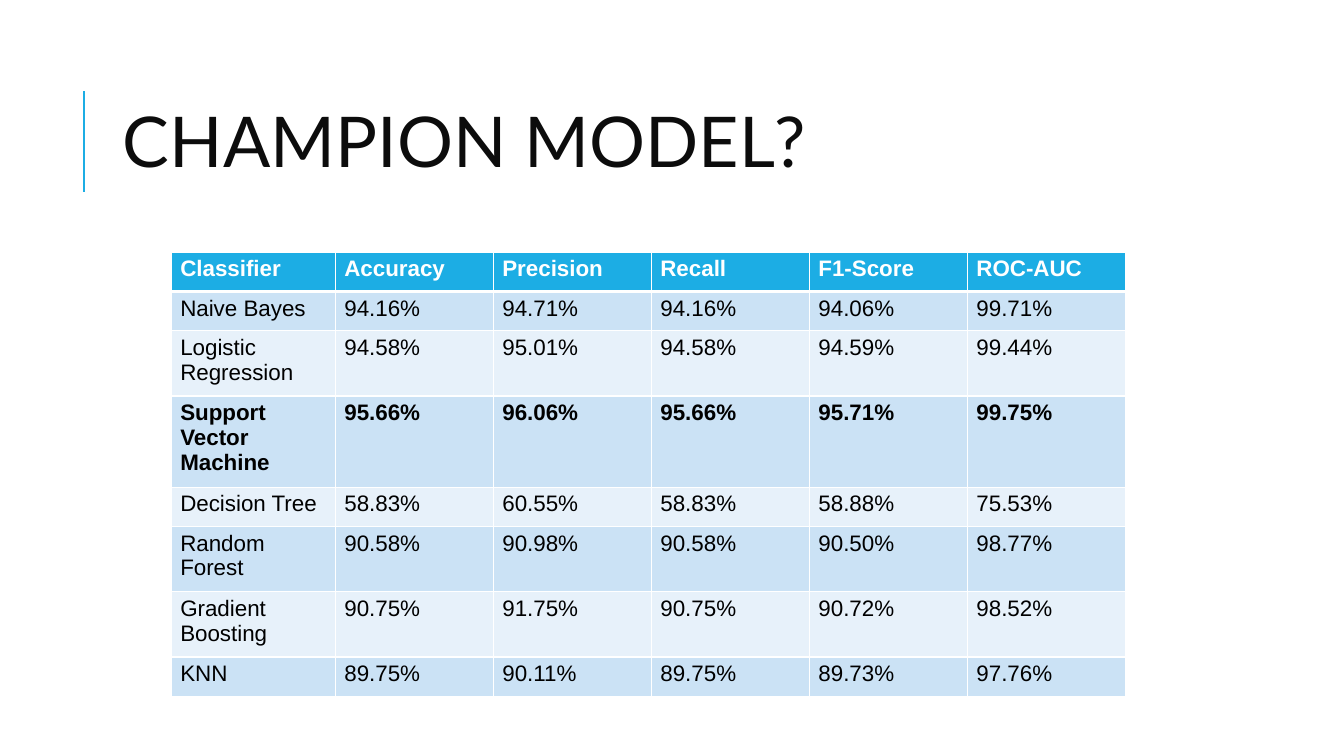
"""Build the champion model slide with its table of classifier scores."""
from lxml.etree import SubElement
from pptx import Presentation
from pptx.dml.color import RGBColor
from pptx.enum.shapes import MSO_CONNECTOR
from pptx.enum.text import MSO_ANCHOR, MSO_AUTO_SIZE, PP_ALIGN
from pptx.oxml.ns import qn
from pptx.util import Pt


def color(value):
    return RGBColor.from_string(value)


def add_run(paragraph, text, font_name, size, value, bold=False):
    run = paragraph.add_run()
    run.text = text
    run.font.name = font_name
    run.font.size = Pt(size)
    run.font.bold = bold
    run.font.color.rgb = color(value)


ACCENT = "1CADE4"
BANDS = ["E7F1FA", "CBE2F5"]
CHAMPION = "Support Vector Machine"
SCORES = [
    ["Classifier", "Accuracy", "Precision", "Recall", "F1-Score", "ROC-AUC"],
    ["Naive Bayes", "94.16%", "94.71%", "94.16%", "94.06%", "99.71%"],
    ["Logistic Regression", "94.58%", "95.01%", "94.58%", "94.59%", "99.44%"],
    [CHAMPION, "95.66%", "96.06%", "95.66%", "95.71%", "99.75%"],
    ["Decision Tree", "58.83%", "60.55%", "58.83%", "58.88%", "75.53%"],
    ["Random Forest", "90.58%", "90.98%", "90.58%", "90.50%", "98.77%"],
    ["Gradient Boosting", "90.75%", "91.75%", "90.75%", "90.72%", "98.52%"],
    ["KNN", "89.75%", "90.11%", "89.75%", "89.73%", "97.76%"],
]
COLUMN_WIDTHS = [117.2] + [112.9] * 5
ROW_HEIGHTS = [28, 28, 46.6, 65.3, 28, 46.6, 46.6, 28]

presentation = Presentation()
presentation.slide_width = Pt(960)
presentation.slide_height = Pt(540)
slide = presentation.slides.add_slide(presentation.slide_layouts[5])

accent_line = slide.shapes.add_connector(
    MSO_CONNECTOR.STRAIGHT, Pt(60), Pt(136.8), Pt(60), Pt(64.8))
accent_line.line.color.rgb = color(ACCENT)
accent_line.line.width = Pt(1.5)
SubElement(accent_line.element.spPr, qn("a:effectLst"))

title = slide.shapes.title
title.left, title.top = Pt(80.64), Pt(46.08)
title.width, title.height = Pt(765.36), Pt(118.08)
title_frame = title.text_frame
title_frame.auto_size = MSO_AUTO_SIZE.NONE
title_frame.word_wrap = True
title_frame.vertical_anchor = MSO_ANCHOR.MIDDLE
title_paragraph = title_frame.paragraphs[0]
title_paragraph.alignment = PP_ALIGN.LEFT
title_paragraph.line_spacing = 0.8
add_run(title_paragraph, "CHAMPION MODEL?", "Lato", 50, "0C0C0C")

table = slide.shapes.add_table(
    len(SCORES), len(SCORES[0]), Pt(122.6), Pt(180.3),
    Pt(sum(COLUMN_WIDTHS)), Pt(sum(ROW_HEIGHTS))).table
for column, width in zip(table.columns, COLUMN_WIDTHS):
    column.width = Pt(width)

for row_index, (row, height) in enumerate(zip(table.rows, ROW_HEIGHTS)):
    row.height = Pt(height)
    is_header = row_index == 0
    is_bold = is_header or SCORES[row_index][0] == CHAMPION
    for cell, text in zip(row.cells, SCORES[row_index]):
        cell.margin_left = cell.margin_right = Pt(6.2)
        cell.margin_top = cell.margin_bottom = Pt(3.1)
        add_run(cell.text_frame.paragraphs[0], text, "Arial", 16,
                "FFFFFF" if is_header else "000000", is_bold)
        properties = cell._tc.get_or_add_tcPr()
        for side in ["L", "R", "T", "B"]:
            thick = (is_header and side == "B") or (row_index == 1 and side == "T")
            border = SubElement(properties, qn(f"a:ln{side}"), w=str(Pt(3 if thick else 1)))
            border_fill = SubElement(border, qn("a:solidFill"))
            SubElement(border_fill, qn("a:srgbClr"), val="FFFFFF")
        cell.fill.solid()
        cell.fill.fore_color.rgb = color(ACCENT if is_header else BANDS[row_index % 2])

presentation.save("out.pptx")
